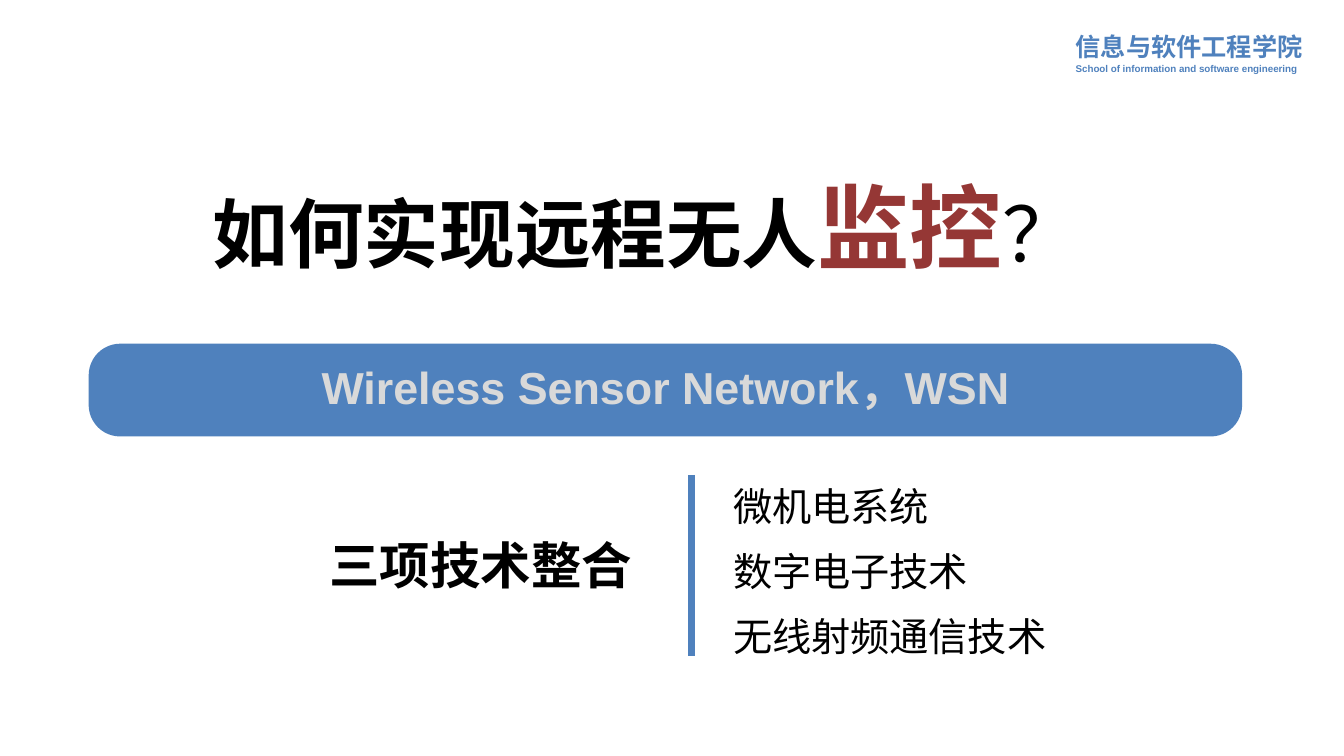
import pptx
import pptx.dml.color
import pptx.enum.shapes
import pptx.enum.text
import pptx.oxml
import pptx.util
from pptx.util import Inches

RGBColor = pptx.dml.color.RGBColor
BLUE = RGBColor(0x4F, 0x81, 0xBD)
BLACK = RGBColor(0, 0, 0)
RED = RGBColor(0x95, 0x37, 0x35)
GREY = RGBColor(0xD9, 0xD9, 0xD9)
ALIGN = pptx.enum.text.PP_ALIGN
ANCHOR = pptx.enum.text.MSO_ANCHOR
FIT = pptx.enum.text.MSO_AUTO_SIZE


def place(shape, left, top, width, height):
    shape.left, shape.top = Inches(left), Inches(top)
    shape.width, shape.height = Inches(width), Inches(height)


def style(font, size, color, bold=False):
    font.name = "Arial"
    font.size = pptx.util.Pt(size)
    font.color.rgb = color
    font.bold = bold


def add_text(slide, box, lines, color, wrap=True):
    """Add a bold text box; lines holds (text, size, line spacing)."""
    frame = slide.shapes.add_textbox(*map(Inches, box)).text_frame
    frame.word_wrap = wrap
    frame.text = "\n".join(text for text, _, _ in lines)
    for para, (_, size, space) in zip(frame.paragraphs, lines):
        para.line_spacing = space
        style(para.runs[0].font, size, color, True)


def fill_title(title, parts):
    place(title, 1.86, 1.87, 9.08, 0.88)
    frame = title.text_frame
    frame.auto_size = FIT.NONE
    frame.vertical_anchor = ANCHOR.MIDDLE
    para = frame.paragraphs[0]
    para.alignment = ALIGN.CENTER
    para.line_spacing = 0.9
    for text, size, color, bold in parts:
        run = para.add_run()
        run.text = text
        style(run.font, size, color, bold)


def add_banner(slide, text):
    box = map(Inches, (0.88, 3.41, 11.44, 0.92))
    kind = pptx.enum.shapes.MSO_SHAPE.ROUNDED_RECTANGLE
    banner = slide.shapes.add_shape(kind, *box)
    banner.adjustments[0] = 0.34
    banner.shadow.inherit = False
    banner.fill.solid()
    banner.fill.fore_color.rgb = BLUE
    banner.line.fill.background()
    frame = banner.text_frame
    frame.vertical_anchor = ANCHOR.MIDDLE
    frame.text = text
    para = frame.paragraphs[0]
    para.alignment = ALIGN.CENTER
    para.line_spacing = 0.9
    style(para.runs[0].font, 32, GREY, True)


def fill_list(body, items):
    place(body, 7.17, 4.64, 3.44, 1.97)
    frame = body.text_frame
    frame.auto_size = FIT.NONE
    frame.vertical_anchor = ANCHOR.TOP
    frame.text = "\n".join(items)
    for index, para in enumerate(frame.paragraphs):
        para.line_spacing = 1.2
        para.space_before = pptx.util.Pt(6 if index else 0)
        props = para._p.get_or_add_pPr()
        props.set("marL", "0")
        props.set("indent", "0")
        pptx.oxml.xmlchemy.OxmlElement("a:buNone")
        props.append(pptx.oxml.xmlchemy.OxmlElement("a:buNone"))
        style(para.runs[0].font, 28, BLACK)


def add_bar(slide, x, top, end):
    kind = pptx.enum.shapes.MSO_CONNECTOR.STRAIGHT
    bar = slide.shapes.add_connector(kind, *map(Inches, (x, top, x, end)))
    bar.line.color.rgb = BLUE
    bar.line.width = pptx.util.Pt(4.5)
    bar._element.spPr.append(pptx.oxml.xmlchemy.OxmlElement("a:effectLst"))


def main():
    deck = pptx.Presentation()
    deck.slide_width, deck.slide_height = Inches(13.33), Inches(7.5)
    slide = deck.slides.add_slide(deck.slide_layouts[1])
    add_text(slide, (10.57, 0.23, 2.45, 0.56), [
        ("信息与软件工程学院", 18, 1.1),
        ("School of information and software engineering", 7, 1.1),
    ], BLUE)
    fill_title(slide.shapes.title, [
        ("如何实现远程无人", 54, BLACK, True),
        ("监控", 66, RED, True),
        ("？", 54, BLACK, False),
    ])
    add_banner(slide, "Wireless Sensor Network，WSN")
    add_text(slide, (3.17, 5.25, 3.23, 0.71),
             [("三项技术整合", 36, 1.0)], BLACK, wrap=False)
    fill_list(slide.placeholders[1],
              ["微机电系统", "数字电子技术", "无线射频通信技术"])
    add_bar(slide, 6.86, 4.71, 6.51)
    deck.save("out.pptx")


if __name__ == "__main__":
    main()
